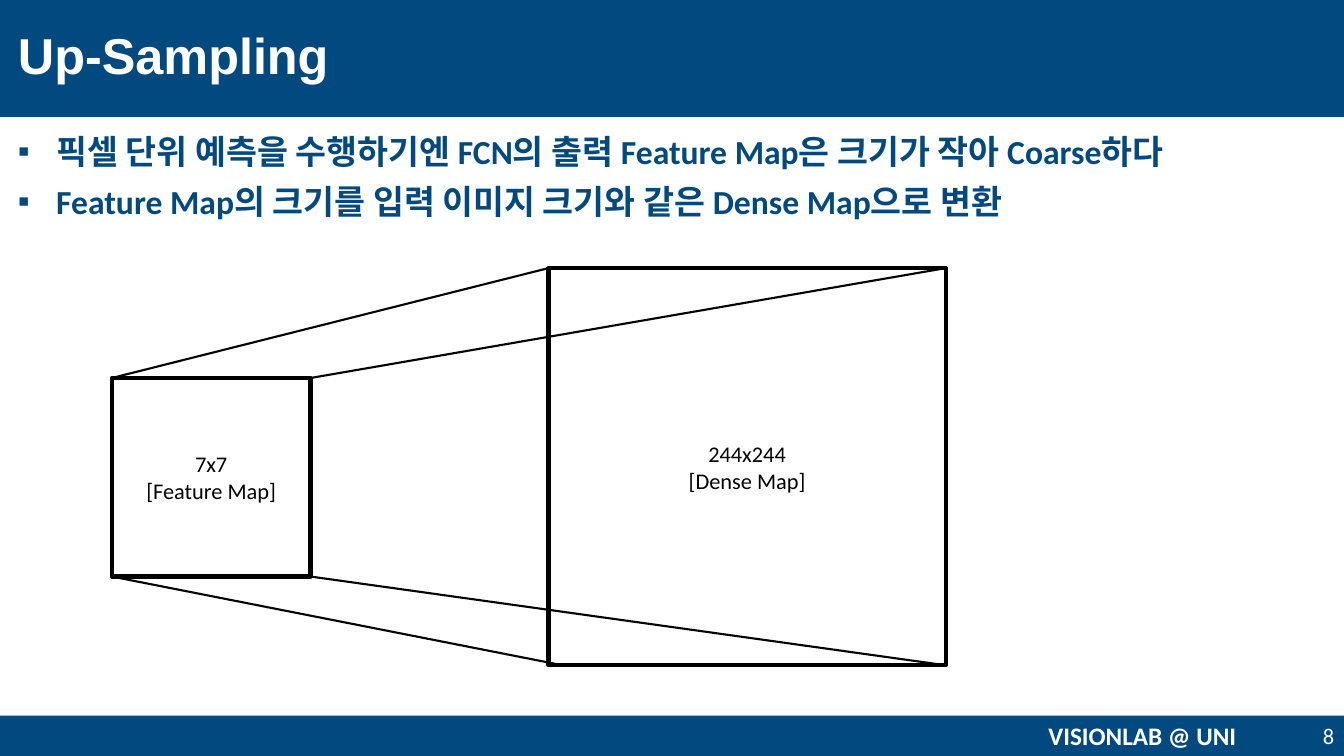
from dataclasses import dataclass

from lxml.etree import SubElement
from pptx import Presentation
from pptx.dml.color import RGBColor
from pptx.enum.shapes import MSO_CONNECTOR, MSO_SHAPE
from pptx.enum.text import MSO_ANCHOR, PP_ALIGN
from pptx.oxml.ns import qn
from pptx.slide import Slide
from pptx.text.text import TextFrame
from pptx.util import Emu, Pt

PX = 9144  # 100 px to the inch


@dataclass(frozen=True)
class Theme:
    navy: RGBColor = RGBColor(0x02, 0x49, 0x7F)
    white: RGBColor = RGBColor(0xFF, 0xFF, 0xFF)
    black: RGBColor = RGBColor(0x00, 0x00, 0x00)
    title_size: int = 36
    body_size: int = 24
    footer_size: int = 18
    label_size: int = 16
    title_font: str = "Arial"
    body_font: str = "Calibri"


THEME = Theme()


@dataclass(frozen=True)
class Box:
    left: int
    top: int
    width: int
    height: int

    @property
    def right(self) -> int:
        return self.left + self.width

    @property
    def bottom(self) -> int:
        return self.top + self.height

    def emu(self) -> tuple[Emu, ...]:
        return tuple(px(n) for n in (self.left, self.top, self.width, self.height))


@dataclass(frozen=True)
class TextStyle:
    size: int
    color: RGBColor
    bold: bool = False
    font: str = THEME.body_font
    align: PP_ALIGN = PP_ALIGN.LEFT
    anchor: MSO_ANCHOR = MSO_ANCHOR.MIDDLE
    line_spacing: float = 1.0
    bullet: str = ""


@dataclass(frozen=True)
class TextItem:
    box: Box
    lines: tuple[str, ...]
    style: TextStyle


@dataclass(frozen=True)
class FeatureMap:
    box: Box
    lines: tuple[str, ...]


@dataclass(frozen=True)
class Edge:
    x1: int
    y1: int
    x2: int
    y2: int


BARS = (Box(0, 0, 1333, 116), Box(0, 710, 1333, 40))

TEXTS = (
    TextItem(Box(993, 710, 280, 40), ("VISIONLAB @ UNI",),
             TextStyle(THEME.footer_size, THEME.white, bold=True, align=PP_ALIGN.CENTER)),
    TextItem(Box(1273, 710, 60, 40), ("8",),
             TextStyle(THEME.label_size, THEME.white, align=PP_ALIGN.RIGHT)),
    TextItem(Box(8, 8, 1253, 99), ("Up-Sampling",),
             TextStyle(THEME.title_size, THEME.white, bold=True,
                       font=THEME.title_font, line_spacing=0.9)),
    TextItem(Box(8, 129, 1317, 568),
             ("픽셀 단위 예측을 수행하기엔 FCN의 출력 Feature Map은 크기가 작아 Coarse하다",
              "Feature Map의 크기를 입력 이미지 크기와 같은 Dense Map으로 변환"),
             TextStyle(THEME.body_size, THEME.navy, bold=True, anchor=MSO_ANCHOR.TOP,
                       line_spacing=0.9, bullet="▪")),
)

LABEL = TextStyle(THEME.label_size, THEME.black, align=PP_ALIGN.CENTER)
SMALL = FeatureMap(Box(111, 375, 197, 197), ("7x7", "[Feature Map]"))
LARGE = FeatureMap(Box(544, 266, 394, 394), ("244x244", "[Dense Map]"))
EDGES = (
    Edge(SMALL.box.left, SMALL.box.top, LARGE.box.left, LARGE.box.top),
    Edge(SMALL.box.right, SMALL.box.top, LARGE.box.right, LARGE.box.top),
    Edge(SMALL.box.right, SMALL.box.bottom, LARGE.box.right, LARGE.box.bottom),
    Edge(SMALL.box.left, SMALL.box.bottom, LARGE.box.left + 14, LARGE.box.bottom),
)


def px(n: int) -> Emu:
    return Emu(n * PX)


def write(tf: TextFrame, lines: tuple[str, ...], style: TextStyle) -> None:
    tf.word_wrap = True
    tf.vertical_anchor = style.anchor
    for i, line in enumerate(lines):
        p = tf.paragraphs[0] if i == 0 else tf.add_paragraph()
        p.alignment = style.align
        p.line_spacing = style.line_spacing
        if style.bullet:
            p.space_before = Pt(10)
            pPr = p._p.get_or_add_pPr()
            pPr.set("marL", str(px(38)))
            pPr.set("indent", str(px(-38)))
            SubElement(pPr, qn("a:buFont"), typeface=THEME.title_font)
            SubElement(pPr, qn("a:buChar"), char=style.bullet)
        r = p.add_run()
        r.text = line
        r.font.name = style.font
        r.font.size = Pt(style.size)
        r.font.bold = style.bold
        r.font.color.rgb = style.color


def add_bar(s: Slide, box: Box) -> None:
    sp = s.shapes.add_shape(MSO_SHAPE.RECTANGLE, *box.emu())
    sp.shadow.inherit = False
    sp.fill.solid()
    sp.fill.fore_color.rgb = THEME.navy
    sp.line.fill.background()


def add_text(s: Slide, item: TextItem) -> None:
    sp = s.shapes.add_textbox(*item.box.emu())
    write(sp.text_frame, item.lines, item.style)


def add_feature_map(s: Slide, fmap: FeatureMap) -> None:
    sp = s.shapes.add_shape(MSO_SHAPE.RECTANGLE, *fmap.box.emu())
    sp.shadow.inherit = False
    sp.fill.solid()
    sp.fill.fore_color.rgb = THEME.white
    sp.line.color.rgb = THEME.black
    sp.line.width = Pt(3)
    write(sp.text_frame, fmap.lines, LABEL)


def add_edge(s: Slide, edge: Edge) -> None:
    sp = s.shapes.add_connector(MSO_CONNECTOR.STRAIGHT, px(edge.x1), px(edge.y1),
                                px(edge.x2), px(edge.y2))
    sp.line.color.rgb = THEME.black
    sp.line.width = Pt(1.5)
    SubElement(sp._element.spPr, qn("a:effectLst"))


def main() -> None:
    prs = Presentation()
    prs.slide_width, prs.slide_height = px(1333), px(750)
    s = prs.slides.add_slide(prs.slide_layouts[6])
    for bar in BARS:
        add_bar(s, bar)
    for item in TEXTS:
        add_text(s, item)
    for fmap in (SMALL, LARGE):
        add_feature_map(s, fmap)
    for edge in EDGES:
        add_edge(s, edge)
    prs.save("out.pptx")


if __name__ == "__main__":
    main()
